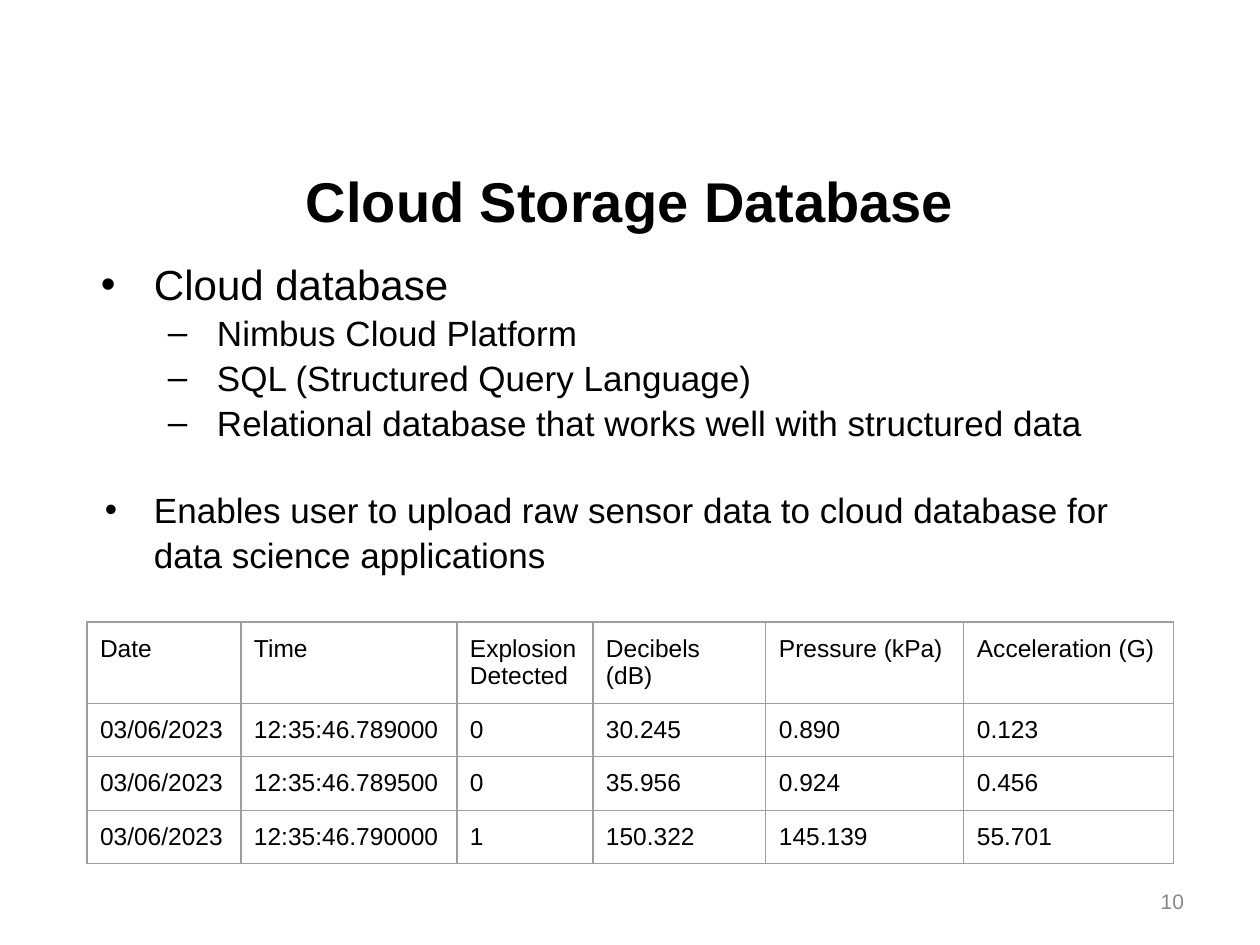
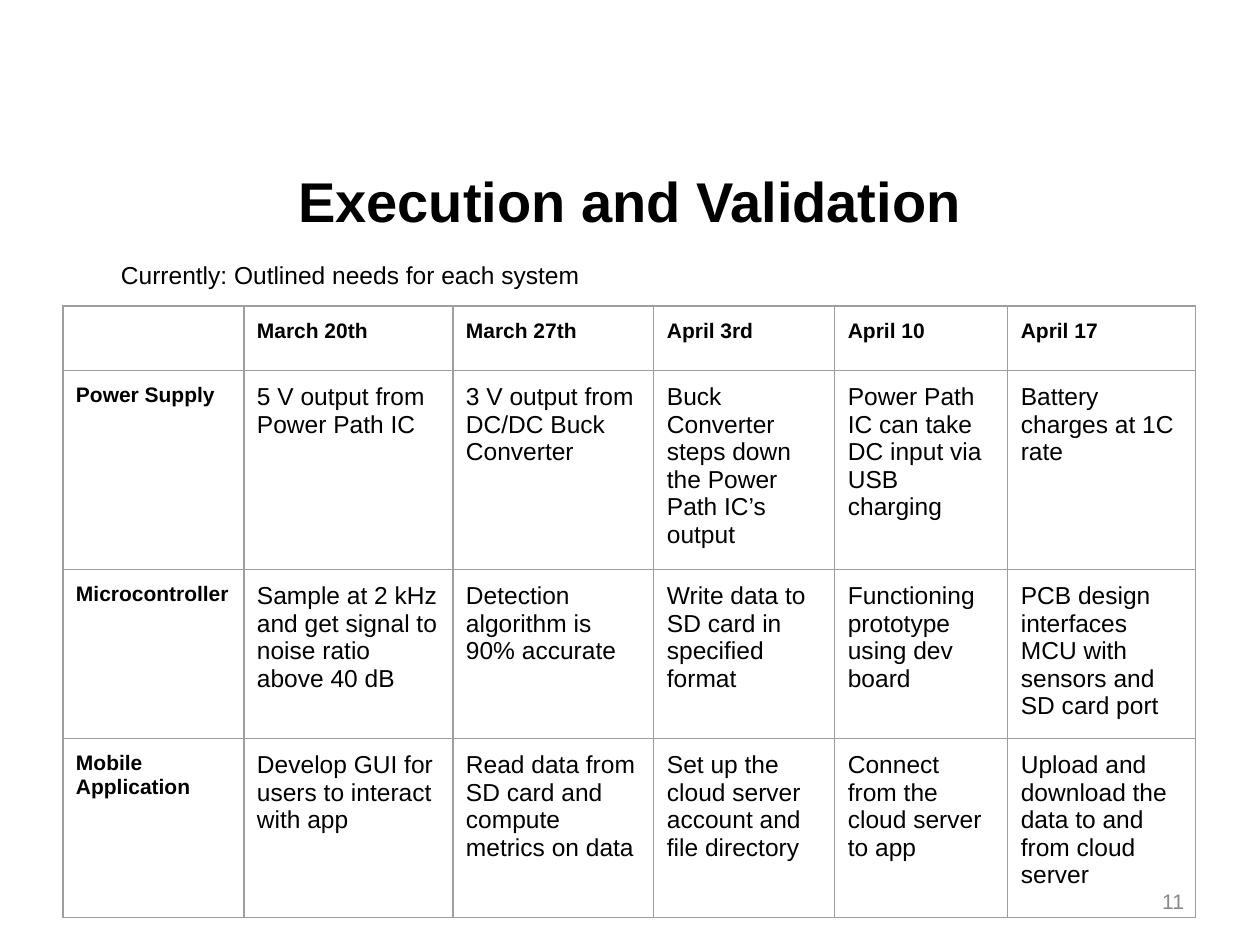
from dataclasses import dataclass

from lxml import etree
from pptx import Presentation
from pptx import util as u
from pptx.dml.color import RGBColor
from pptx.enum import text
from pptx.oxml import ns

# Content
STORAGE = {
    "title": "Cloud Storage Database",
    "number": "10",
    # level, size name, space before in points, wording
    "points": [
        (0, "lead", 0, "Cloud database"),
        (1, "point", 0, "Nimbus Cloud Platform"),
        (1, "point", 0, "SQL (Structured Query Language)"),
        (1, "point", 0, "Relational database that works well with structured data"),
        (0, "point", 24, "Enables user to upload raw sensor data to cloud database "
                         "for data science applications"),
    ],
    "readings": [
        ("Date", "Time", "Explosion Detected", "Decibels (dB)", "Pressure (kPa)",
         "Acceleration (G)"),
        ("03/06/2023", "12:35:46.789000", "0", "30.245", "0.890", "0.123"),
        ("03/06/2023", "12:35:46.789500", "0", "35.956", "0.924", "0.456"),
        ("03/06/2023", "12:35:46.790000", "1", "150.322", "145.139", "55.701"),
    ],
}
EXECUTION = {
    "title": "Execution and Validation",
    "number": "11",
    "status": "Currently: Outlined needs for each system",
    "schedule": [
        ("", "March 20th", "March 27th", "April 3rd", "April 10", "April 17"),
        ("Power Supply",
         "5 V output from Power Path IC",
         "3 V output from DC/DC Buck Converter",
         "Buck Converter steps down the Power Path IC’s output",
         "Power Path IC can take DC input via USB charging",
         "Battery charges at 1C rate"),
        ("Microcontroller",
         "Sample at 2 kHz and get signal to noise ratio above 40 dB",
         "Detection algorithm is 90% accurate",
         "Write data to SD card in specified format",
         "Functioning prototype using dev board",
         "PCB design interfaces MCU with sensors and SD card port"),
        ("Mobile Application",
         "Develop GUI for users to interact with app",
         "Read data from SD card and compute metrics on data",
         "Set up the cloud server account and file directory",
         "Connect from the cloud server to app",
         "Upload and download the data to and from cloud server"),
    ],
}

# Places in px: left, top, width, height
SLIDE_SIZE = (1260, 945)
TITLE_BOX = (63, 145, 1134, 111)
NUMBER_BOX = (903, 876, 294, 50)
POINTS_BOX = (78, 242, 1104, 334)
STATUS_BOX = (108, 247, 998, 50)
READINGS_GRID = {"origin": (87, 622), "widths": (154, 216, 136, 173, 198, 210),
                 "heights": (80, 53, 53, 53)}
SCHEDULE_GRID = {"origin": (63, 306), "widths": (181, 209, 201, 181, 173, 188),
                 "heights": (60, 199, 169, 179)}
INSET = 13
BULLETS = {0: ("•", 63), 1: ("–", 126)}  # level: character, text indent
HANGS = {"lead": 53, "point": 49}


@dataclass(frozen=True)
class Theme:
    font: str = "Arial"
    ink: str = "000000"
    muted: str = "888888"
    rule: str = "9E9E9E"
    rule_width: float = 0.75
    sizes = {"title": 32, "lead": 24, "point": 20, "text": 14, "label": 12}


THEME = Theme()


def px(length):
    return u.Emu(round(length * 914400 / 126))


def assign(target, **values):
    for name, value in values.items():
        setattr(target, name, value)


def write(paragraph, wording, size="text", color=THEME.ink, bold=False):
    run = paragraph.add_run()
    run.text = wording
    assign(run.font, name=THEME.font, size=u.Pt(THEME.sizes[size]), bold=bold)
    run.font.color.rgb = RGBColor.from_string(color)


def set_frame(frame, anchor=text.MSO_ANCHOR.TOP, vertical=INSET):
    assign(frame, word_wrap=True, auto_size=text.MSO_AUTO_SIZE.NONE,
           vertical_anchor=anchor, margin_left=px(INSET), margin_right=px(INSET),
           margin_top=px(vertical), margin_bottom=px(vertical))
    return frame


def add_text(slide, box, **frame_format):
    shape = slide.shapes.add_textbox(*map(px, box))
    return set_frame(shape.text_frame, **frame_format)


def add_slide(prs, content):
    """Start a slide with its title and page number."""
    slide = prs.slides.add_slide(prs.slide_layouts[5])
    title = slide.shapes.title
    assign(title, **dict(zip(("left", "top", "width", "height"), map(px, TITLE_BOX))))
    heading = set_frame(title.text_frame, text.MSO_ANCHOR.MIDDLE).paragraphs[0]
    heading.alignment = text.PP_ALIGN.CENTER
    write(heading, content["title"], "title", bold=True)

    number = add_text(slide, NUMBER_BOX, anchor=text.MSO_ANCHOR.MIDDLE,
                      vertical=6).paragraphs[0]
    number.alignment = text.PP_ALIGN.RIGHT
    write(number, content["number"], "label", THEME.muted)
    return slide


def add_bullet(paragraph, level, size):
    character, indent = BULLETS[level]
    props = paragraph._p.get_or_add_pPr()
    props.set("marL", str(px(indent)))
    props.set("indent", str(-px(HANGS[size])))
    color = etree.SubElement(props, ns.qn("a:buClr"))
    etree.SubElement(color, ns.qn("a:srgbClr"), val=THEME.ink)
    etree.SubElement(props, ns.qn("a:buFont"), typeface=THEME.font)
    etree.SubElement(props, ns.qn("a:buChar"), char=character)


def add_points(slide, points):
    frame = add_text(slide, POINTS_BOX)
    for index, (level, size, gap, wording) in enumerate(points):
        paragraph = frame.add_paragraph() if index else frame.paragraphs[0]
        assign(paragraph, level=level, line_spacing=1.07,
               space_before=u.Pt(gap), space_after=u.Pt(0))
        add_bullet(paragraph, level, size)
        write(paragraph, wording, size)


def add_borders(cell):
    props = cell._tc.get_or_add_tcPr()
    for side in "LRTB":
        line = etree.SubElement(props, ns.qn(f"a:ln{side}"),
                                w=str(u.Pt(THEME.rule_width)))
        fill = etree.SubElement(line, ns.qn("a:solidFill"))
        etree.SubElement(fill, ns.qn("a:srgbClr"), val=THEME.rule)


def add_grid(slide, rows, grid, has_labels=False):
    """Draw a ruled table; has_labels makes its first row and column bold."""
    widths, heights = grid["widths"], grid["heights"]
    box = (*grid["origin"], sum(widths), sum(heights))
    table = slide.shapes.add_table(len(rows), len(widths), *map(px, box)).table
    assign(table, first_row=False, horz_banding=False)
    for column, width in zip(table.columns, widths):
        column.width = px(width)
    for r, (row, height) in enumerate(zip(rows, heights)):
        table.rows[r].height = px(height)
        for c, wording in enumerate(row):
            cell = table.cell(r, c)
            assign(cell, margin_left=px(INSET), margin_right=px(INSET),
                   margin_top=px(INSET), margin_bottom=px(INSET))
            add_borders(cell)
            cell.fill.background()
            is_label = has_labels and 0 in (r, c)
            if wording:
                write(cell.text_frame.paragraphs[0], wording,
                      "label" if is_label else "text", bold=is_label)


def main():
    prs = Presentation()
    prs.slide_width, prs.slide_height = map(px, SLIDE_SIZE)

    storage = add_slide(prs, STORAGE)
    add_points(storage, STORAGE["points"])
    add_grid(storage, STORAGE["readings"], READINGS_GRID)

    execution = add_slide(prs, EXECUTION)
    add_grid(execution, EXECUTION["schedule"], SCHEDULE_GRID, has_labels=True)
    write(add_text(execution, STATUS_BOX).paragraphs[0], EXECUTION["status"])

    prs.save("out.pptx")


if __name__ == "__main__":
    main()
